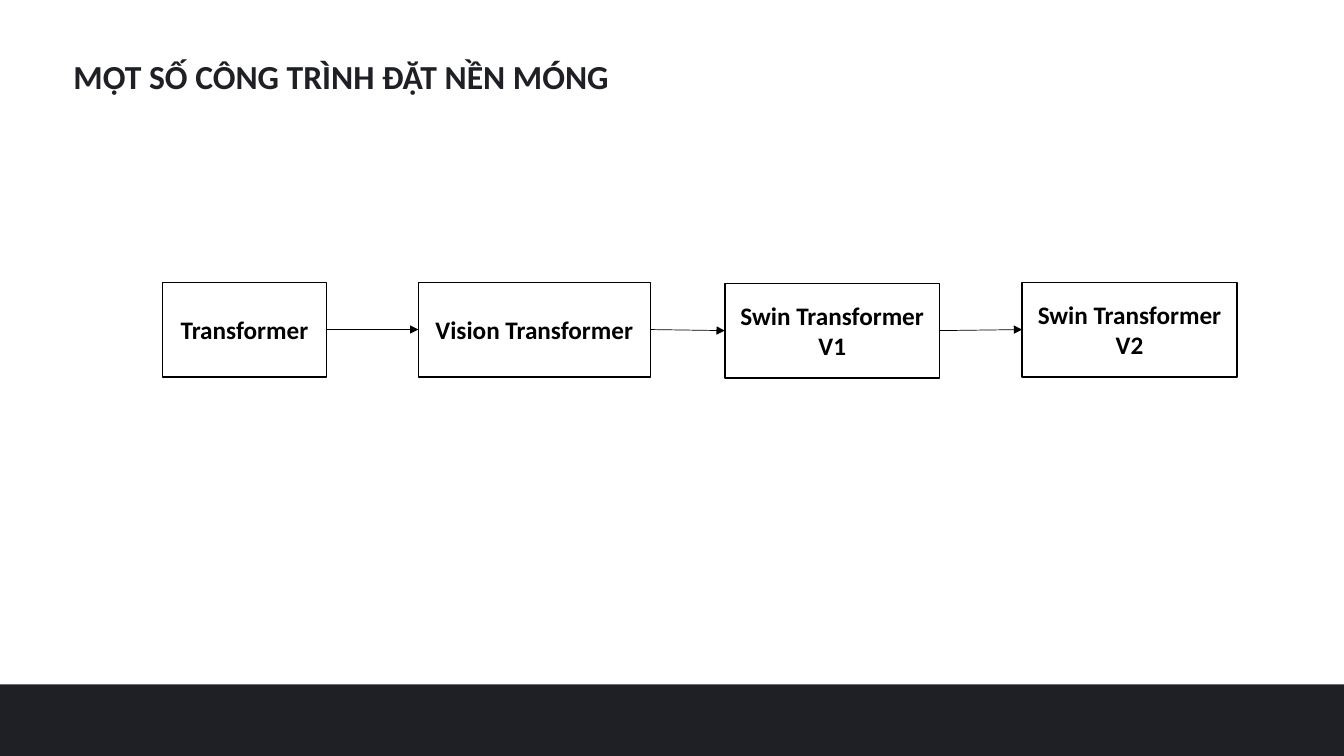
from itertools import pairwise
from lxml import etree
from pptx import Presentation, util as u
from pptx.dml.color import RGBColor
from pptx.enum import shapes, text
from pptx.oxml import ns

DARK = RGBColor(0x1F, 0x20, 0x25)
BLACK = RGBColor(0, 0, 0)
WHITE = RGBColor(255, 255, 255)
WIDE, HIGH = u.Inches(13.33), u.Inches(7.5)

TOP, TALL = 37.33, 12.53
STEPS = [
    ("Transformer", 12.08, TOP, 12.22),
    ("Vision Transformer", 31.13, TOP, 17.25),
    ("Swin Transformer V1", 53.93, TOP + 0.14, 15.98),
    ("Swin Transformer V2", 76.05, TOP, 15.98),
]


def area(x, y, w, h):
    return [int(side * part / 100) for side, part in
            ((WIDE, x), (HIGH, y), (WIDE, w), (HIGH, h))]


def write(frame, words, size, color):
    frame.word_wrap = True
    para = frame.paragraphs[0]
    para.text = words
    font = para.font
    font.name, font.size, font.bold = "Calibri", u.Pt(size), True
    font.color.rgb = color
    return para


def add_title(slide, words):
    box = slide.shapes.add_textbox(*area(4.73, 6.8, 43.65, 6.67))
    box.text_frame.auto_size = text.MSO_AUTO_SIZE.SHAPE_TO_FIT_TEXT
    write(box.text_frame, words, 24, DARK)


def add_rect(slide, place, fill):
    rect = slide.shapes.add_shape(shapes.MSO_SHAPE.RECTANGLE, *area(*place))
    rect.shadow.inherit = False
    rect.fill.solid()
    rect.fill.fore_color.rgb = fill
    rect.line.fill.background()
    return rect


def add_step(slide, words, x, y, w):
    step = add_rect(slide, (x, y, w, TALL), WHITE)
    step.line.color.rgb = BLACK
    step.line.width = u.Pt(1)
    step.text_frame.vertical_anchor = text.MSO_ANCHOR.MIDDLE
    para = write(step.text_frame, words, 18, BLACK)
    para.alignment = text.PP_ALIGN.CENTER
    return step


def add_arrow(slide, start, end):
    arrow = slide.shapes.add_connector(
        shapes.MSO_CONNECTOR.STRAIGHT, 0, 0, 0, 0)
    arrow.begin_connect(start, 3)
    arrow.end_connect(end, 1)
    arrow.line.color.rgb = BLACK
    arrow.line.width = u.Pt(0.5)
    etree.SubElement(arrow.line._get_or_add_ln(), ns.qn("a:tailEnd"),
                     type="triangle")
    etree.SubElement(arrow._element.spPr, ns.qn("a:effectLst"))


def main():
    deck = Presentation()
    deck.slide_width, deck.slide_height = WIDE, HIGH
    slide = deck.slides.add_slide(deck.slide_layouts[6])
    add_title(slide, "MỘT SỐ CÔNG TRÌNH ĐẶT NỀN MÓNG")
    add_rect(slide, (0, 90.53, 100, 9.47), DARK)
    steps = [add_step(slide, *step) for step in STEPS]
    for start, end in pairwise(steps):
        add_arrow(slide, start, end)
    deck.save("out.pptx")


if __name__ == "__main__":
    main()
